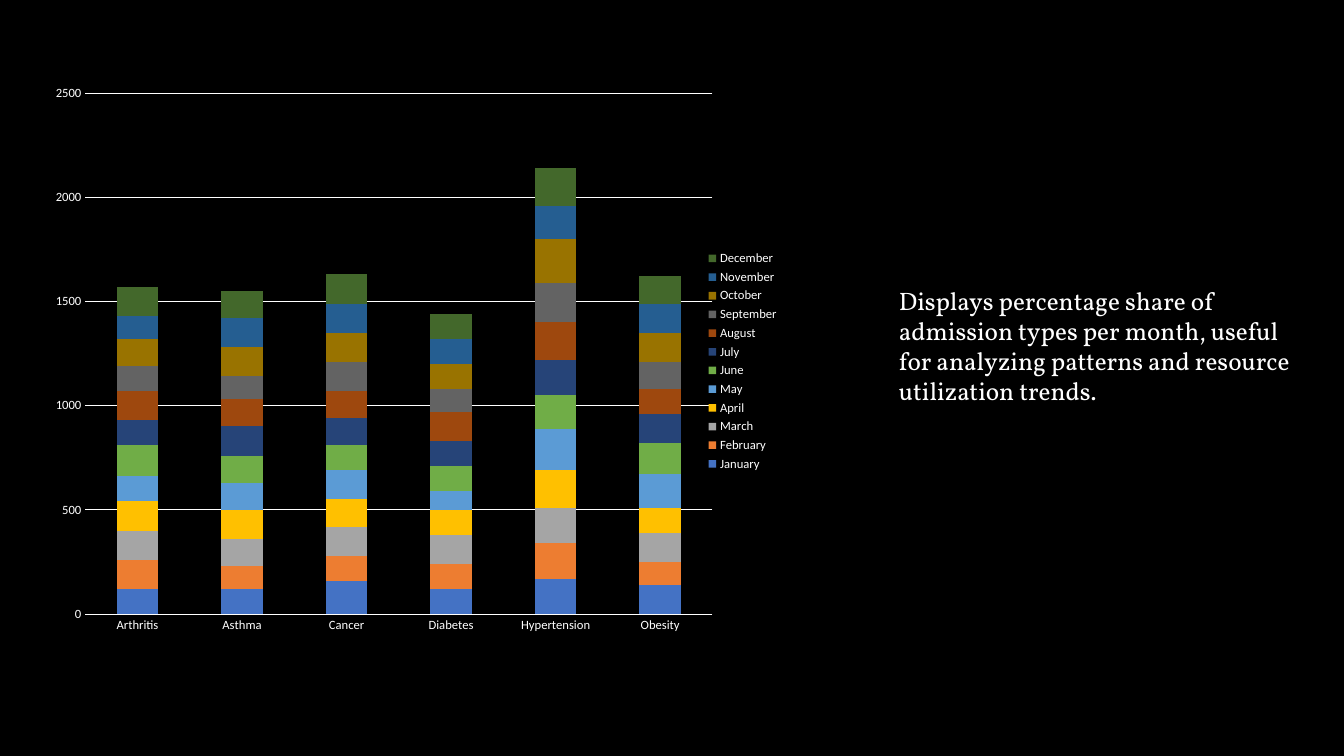
from lxml import etree
from pptx import Presentation
from pptx.chart.data import CategoryChartData
from pptx.dml.color import RGBColor
from pptx.enum.chart import XL_CHART_TYPE as ChartType
from pptx.enum.chart import XL_LEGEND_POSITION as LegendPosition
from pptx.enum.chart import XL_TICK_MARK as TickMark
from pptx.enum.text import MSO_AUTO_SIZE as AutoSize
from pptx.oxml.ns import qn
from pptx.util import Pt

BLACK = RGBColor(0, 0, 0)
WHITE = RGBColor(255, 255, 255)
CONDITIONS = ["Arthritis", "Asthma", "Cancer", "Diabetes", "Hypertension", "Obesity"]
ADMISSIONS = [
    ("January", RGBColor(0x44, 0x72, 0xC4), [120, 120, 160, 120, 170, 140]),
    ("February", RGBColor(0xED, 0x7D, 0x31), [140, 110, 120, 120, 170, 110]),
    ("March", RGBColor(0xA5, 0xA5, 0xA5), [140, 130, 140, 140, 170, 140]),
    ("April", RGBColor(0xFF, 0xC0, 0x00), [140, 140, 130, 120, 180, 120]),
    ("May", RGBColor(0x5B, 0x9B, 0xD5), [120, 130, 140, 90, 200, 160]),
    ("June", RGBColor(0x70, 0xAD, 0x47), [150, 130, 120, 120, 160, 150]),
    ("July", RGBColor(0x26, 0x44, 0x78), [120, 140, 130, 120, 170, 140]),
    ("August", RGBColor(0x9E, 0x48, 0x0E), [140, 130, 130, 140, 180, 120]),
    ("September", RGBColor(0x63, 0x63, 0x63), [120, 110, 140, 110, 190, 130]),
    ("October", RGBColor(0x99, 0x73, 0x00), [130, 140, 140, 120, 210, 140]),
    ("November", RGBColor(0x25, 0x5E, 0x91), [110, 140, 140, 120, 160, 140]),
    ("December", RGBColor(0x43, 0x68, 0x2B), [140, 130, 140, 120, 180, 130]),
]
SUMMARY = ("Displays percentage share of admission types per month, useful "
           "for analyzing patterns and resource utilization trends.")


def style_font(font, name, size):
    font.name = name
    font.size = Pt(size)
    font.color.rgb = WHITE


def style_line(line):
    line.color.rgb = WHITE
    line.width = Pt(0.75)


def place_plot(chart, left, top, width, height):
    plot_area = chart.plots[0]._element.getparent()
    layout = plot_area.find(qn("c:layout"))
    if layout is None:
        layout = etree.Element(qn("c:layout"))
        plot_area.insert(0, layout)
    manual = etree.SubElement(layout, qn("c:manualLayout"))
    settings = [("layoutTarget", "inner"), ("xMode", "edge"), ("yMode", "edge"),
                ("x", left), ("y", top), ("w", width), ("h", height)]
    for tag, value in settings:
        etree.SubElement(manual, qn(f"c:{tag}")).set("val", str(value))


def add_admissions_chart(page, left, top, width, height):
    data = CategoryChartData()
    data.categories = CONDITIONS
    for month, _, counts in ADMISSIONS:
        data.add_series(month, counts)
    chart = page.shapes.add_chart(ChartType.COLUMN_STACKED, Pt(left), Pt(top),
                                  Pt(width), Pt(height), data).chart
    chart.has_title = False
    style_font(chart.font, "Calibri", 10)

    plot = chart.plots[0]
    plot.gap_width = 150
    plot.overlap = 100
    plot.vary_by_categories = False
    for series, (_, color, _) in zip(plot.series, ADMISSIONS):
        series.format.fill.solid()
        series.format.fill.fore_color.rgb = color

    for axis in (chart.category_axis, chart.value_axis):
        axis.major_tick_mark = TickMark.NONE
        axis.minor_tick_mark = TickMark.NONE
        style_font(axis.tick_labels.font, "Calibri", 9)
    style_line(chart.category_axis.format.line)
    chart.value_axis.format.line.fill.background()
    chart.value_axis.minimum_scale = 0
    chart.value_axis.maximum_scale = 2500
    chart.value_axis.major_unit = 500
    style_line(chart.value_axis.major_gridlines.format.line)

    chart.has_legend = True
    chart.legend.position = LegendPosition.RIGHT
    chart.legend.include_in_layout = False
    style_font(chart.legend.font, "Calibri", 9)
    place_plot(chart, 0.055, 0.019, 0.842, 0.935)


def add_summary(page, left, top, width, height):
    box = page.shapes.add_textbox(Pt(left), Pt(top), Pt(width), Pt(height))
    frame = box.text_frame
    frame.word_wrap = True
    frame.auto_size = AutoSize.SHAPE_TO_FIT_TEXT
    span = frame.paragraphs[0].add_run()
    span.text = SUMMARY
    style_font(span.font, "Vollkorn", 18)


def main():
    deck = Presentation()
    deck.slide_width = Pt(960)
    deck.slide_height = Pt(540)
    page = deck.slides.add_slide(deck.slide_layouts[6])
    page.background.fill.solid()
    page.background.fill.fore_color.rgb = BLACK
    add_admissions_chart(page, 31.7, 59, 532, 398)
    add_summary(page, 635, 200, 301, 94.3)
    deck.save("out.pptx")


if __name__ == "__main__":
    main()
